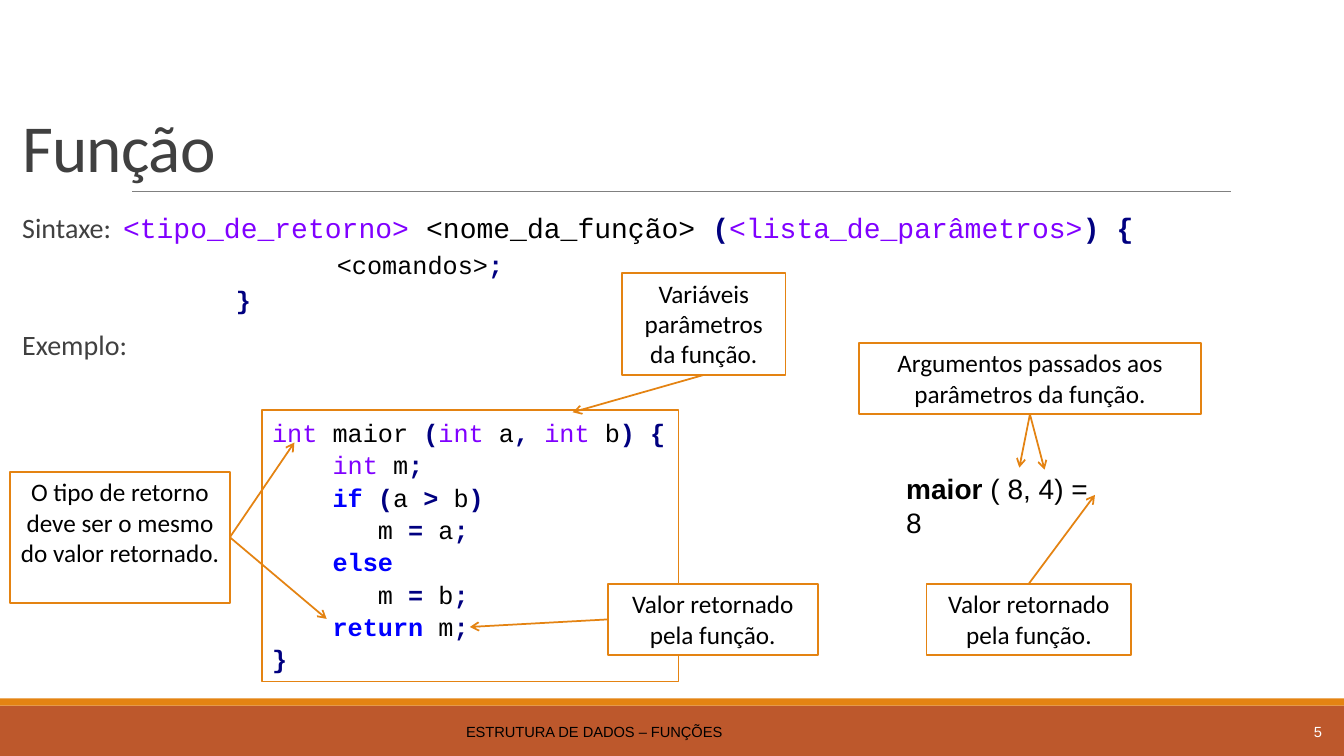
from dataclasses import dataclass
from itertools import groupby

from lxml import etree
from pptx import Presentation
from pptx import util as u
from pptx.dml.color import RGBColor
from pptx.enum import shapes, text
from pptx.oxml.ns import qn

COLUMNS, ROWS = 133.3, 75  # grid cells of a tenth of an inch
TOP, LEFT, BOTTOM, RIGHT = range(4)  # connection sites of a rectangle


@dataclass(frozen=True)
class Theme:
    """Colours, fonts and type sizes of the slide."""
    accent: str = "E48312"
    band: str = "BD582C"
    rule: str = "808080"
    paper: str = "FFFFFF"
    ink: str = "000000"
    soft: str = "404040"
    kind: str = "8000FF"
    keyword: str = "0000FF"
    symbol: str = "000080"
    sans: str = "Calibri"
    plain: str = "Arial"
    mono: str = "Courier New"
    title: float = 48
    large: float = 20
    normal: float = 18
    small: float = 10.5
    stroke: float = 1.25
    code_spacing: float = 1.07
    code_character: float = 1.5  # columns taken by one monospaced character


@dataclass
class Run:
    """A piece of text with its own look."""
    words: str
    color: str
    font: str
    size: float
    bold: bool = False


class Builder:
    """Draws elements on the current slide in one theme."""

    def __init__(self, presentation, theme):
        """Open a title-only slide."""
        self.presentation, self.theme = presentation, theme
        self.slide = presentation.slides.add_slide(presentation.slide_layouts[5])

    def across(self, columns):
        """Turn columns into a length."""
        return u.Emu(round(self.presentation.slide_width * columns / COLUMNS))

    def down(self, rows):
        """Turn rows into a length."""
        return u.Emu(round(self.presentation.slide_height * rows / ROWS))

    def place(self, left, top, width, height):
        """Turn a grid area into lengths."""
        return self.across(left), self.down(top), self.across(width), self.down(height)

    def fill_paragraph(self, paragraph, runs, align=text.PP_ALIGN.LEFT, spacing=1.0,
                       before=0, after=0, indent=0, tab=None):
        """Fill a paragraph run by run."""
        paragraph.alignment, paragraph.line_spacing = align, spacing
        paragraph.space_before, paragraph.space_after = u.Pt(before), u.Pt(after)
        properties = paragraph._p.get_or_add_pPr()
        properties.set("marL", str(self.across(indent)))
        properties.set("indent", "0")
        if tab:
            stops = etree.SubElement(properties, qn("a:tabLst"))
            etree.SubElement(stops, qn("a:tab"), pos=str(self.across(tab)), algn="l")
        for item in runs:
            run = paragraph.add_run()
            run.text = item.words
            run.font.name, run.font.size = item.font, u.Pt(item.size)
            run.font.bold = item.bold
            run.font.color.rgb = RGBColor.from_string(item.color)

    def fill_frame(self, shape, paragraphs, anchor=text.MSO_ANCHOR.TOP):
        """Put (runs, format) pairs into a shape."""
        frame = shape.text_frame
        frame.word_wrap, frame.auto_size = True, text.MSO_AUTO_SIZE.NONE
        frame.vertical_anchor = anchor
        for index, (runs, style) in enumerate(paragraphs):
            paragraph = frame.add_paragraph() if index else frame.paragraphs[0]
            self.fill_paragraph(paragraph, runs, **style)

    def title(self, words, *area):
        """Move and format the title placeholder."""
        shape = self.slide.shapes.title
        shape.left, shape.top, shape.width, shape.height = self.place(*area)
        run = Run(words, self.theme.soft, self.theme.sans, self.theme.title)
        self.fill_frame(shape, [([run], {"spacing": 0.85})], text.MSO_ANCHOR.BOTTOM)
        shape.text_frame.paragraphs[0].runs[0].font._element.set("spc", "-50")

    def text(self, paragraphs, *area, anchor=text.MSO_ANCHOR.TOP, side_inset=1):
        """Add a text box."""
        shape = self.slide.shapes.add_textbox(*self.place(*area))
        frame = shape.text_frame
        frame.margin_left = frame.margin_right = self.across(side_inset)
        self.fill_frame(shape, paragraphs, anchor)

    def box(self, *area, fill, line=None):
        """Add a rectangle."""
        shape = self.slide.shapes.add_shape(shapes.MSO_SHAPE.RECTANGLE, *self.place(*area))
        shape.shadow.inherit = False
        shape.fill.solid()
        shape.fill.fore_color.rgb = RGBColor.from_string(fill)
        if line:
            shape.line.color.rgb = RGBColor.from_string(line)
            shape.line.width = u.Pt(self.theme.stroke)
        else:
            shape.line.fill.background()
        return shape

    def line(self, start, end, color, width):
        """Add a straight line."""
        connector = self.slide.shapes.add_connector(
            shapes.MSO_CONNECTOR.STRAIGHT, self.across(start[0]), self.down(start[1]),
            self.across(end[0]), self.down(end[1]))
        connector.line.color.rgb = RGBColor.from_string(color)
        connector.line.width = u.Pt(width)
        etree.SubElement(connector._element.spPr, qn("a:effectLst"))
        return connector

    def callout(self, words, area, site, targets):
        """Add a note with arrows from one of its sides."""
        theme = self.theme
        shape = self.box(*area, fill=theme.paper, line=theme.accent)
        run = Run(words, theme.ink, theme.sans, theme.normal)
        self.fill_frame(shape, [([run], {"align": text.PP_ALIGN.CENTER})])
        for target in targets:
            arrow = self.line(area[:2], target, theme.accent, theme.stroke)
            arrow.begin_connect(shape, site)
            etree.SubElement(arrow.line._get_or_add_ln(), qn("a:tailEnd"), type="arrow")

    def highlight(self, line):
        """Split a line of C into coloured runs."""
        theme = self.theme
        for group, characters in groupby(line, lambda c: c.isalnum() or c.isspace() and " "):
            words = "".join(characters)
            bold = group is False or words in ("if", "else", "return")
            color = (theme.symbol if group is False else theme.keyword if bold
                     else theme.kind if words == "int" else theme.ink)
            yield Run(words, color, theme.mono, theme.normal, bold)

    def code(self, lines, *area):
        """Add a framed listing of (depth in characters, line) pairs."""
        theme = self.theme
        shape = self.box(*area, fill=theme.paper, line=theme.accent)
        self.fill_frame(shape, [
            (self.highlight(line), {"spacing": theme.code_spacing,
                                    "indent": depth * theme.code_character})
            for depth, line in lines])


def main():
    """Build and save the slide."""
    presentation = Presentation()
    presentation.slide_width, presentation.slide_height = u.Inches(13.33), u.Inches(7.5)
    theme = Theme()
    page = Builder(presentation, theme)

    page.box(0, 70, COLUMNS, 5, fill=theme.band)
    page.box(0, 69.3, COLUMNS, 0.7, fill=theme.accent)
    page.line((13.1, 19), (122.1, 19), theme.rule, 0.5)
    page.title("Função", 1.2, 3.1, 131, 15.9)

    def label(words):
        """Make a run in the label style."""
        return Run(words, theme.soft, theme.sans, theme.large)

    def syntax(words, color, size=theme.large):
        """Make a monospaced run, bold for symbols."""
        return Run(words, color, theme.mono, size, color == theme.symbol)

    nested = {"spacing": theme.code_spacing, "before": 2}
    page.text([
        ([label("Sintaxe:\t"),
          syntax("<tipo_de_retorno> ", theme.kind),
          syntax("<nome_da_função> ", theme.ink),
          syntax("(", theme.symbol),
          syntax("<lista_de_parâmetros>", theme.kind),
          syntax(") {", theme.symbol)],
         {"spacing": theme.code_spacing, "before": 12, "indent": 1, "tab": 20}),
        ([syntax("<comandos>", theme.ink, theme.normal),
          syntax(";", theme.symbol, theme.normal)], {"indent": 32.2, **nested}),
        ([syntax("}", theme.symbol, theme.normal)], {"indent": 22.2, **nested}),
        ([label("Exemplo:")], {"spacing": 0.9, "before": 12, "after": 2, "indent": 1}),
    ], 1.2, 20.2, 130.9, 49.1, side_inset=0)

    for words, color, align, left, width in (
            ("ESTRUTURA DE DADOS – FUNÇÕES", theme.ink, text.PP_ALIGN.CENTER, 1.2, 115.5),
            ("5", theme.paper, text.PP_ALIGN.RIGHT, 117.8, 14.3)):
        page.text([([Run(words, color, theme.plain, theme.small)], {"align": align})],
                  left, 70.6, width, 4, anchor=text.MSO_ANCHOR.MIDDLE)

    page.code([(0, "int maior (int a, int b) {"), (4, "int m;"), (4, "if (a > b)"),
               (7, "m = a;"), (4, "else"), (7, "m = b;"), (4, "return m;"), (0, "}")],
              26, 40.7, 41.3, 26.9)
    page.text([([Run("maior ", theme.ink, theme.plain, theme.large, True),
                 Run("( 8, 4) = 8", theme.ink, theme.plain, theme.large)], {})],
              88.9, 46.3, 21.3, 7.5)

    returned = "Valor retornado pela função."
    for note in (
            ("Variáveis parâmetros da função.", (61.7, 27.1, 16.2, 10.1), BOTTOM, [(56.8, 40.9)]),
            ("Argumentos passados aos parâmetros da função.", (85.2, 34, 33.9, 7.1), BOTTOM,
             [(101.1, 46.4), (103.6, 46.6)]),
            (returned, (91.9, 57.9, 20.3, 7.1), TOP, [(108.6, 49.1)]),
            (returned, (60.3, 57.9, 20.8, 7.1), LEFT, [(46.6, 62.2)]),
            ("O tipo de retorno deve ser o mesmo do valor retornado.", (1, 46.8, 21.8, 13), RIGHT,
             [(29.2, 43.9), (32.4, 61.4)])):
        page.callout(*note)

    presentation.save("out.pptx")


main()
